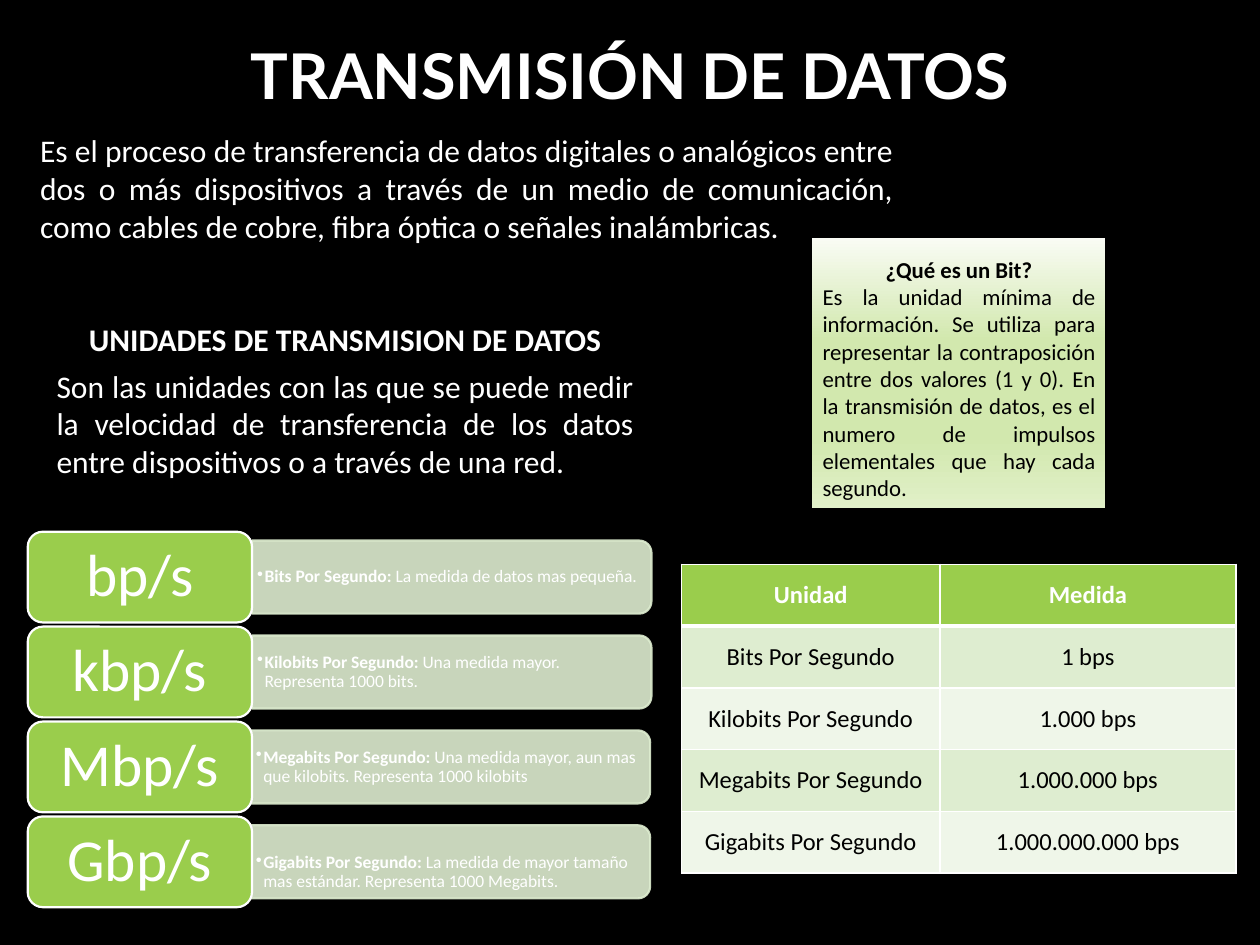
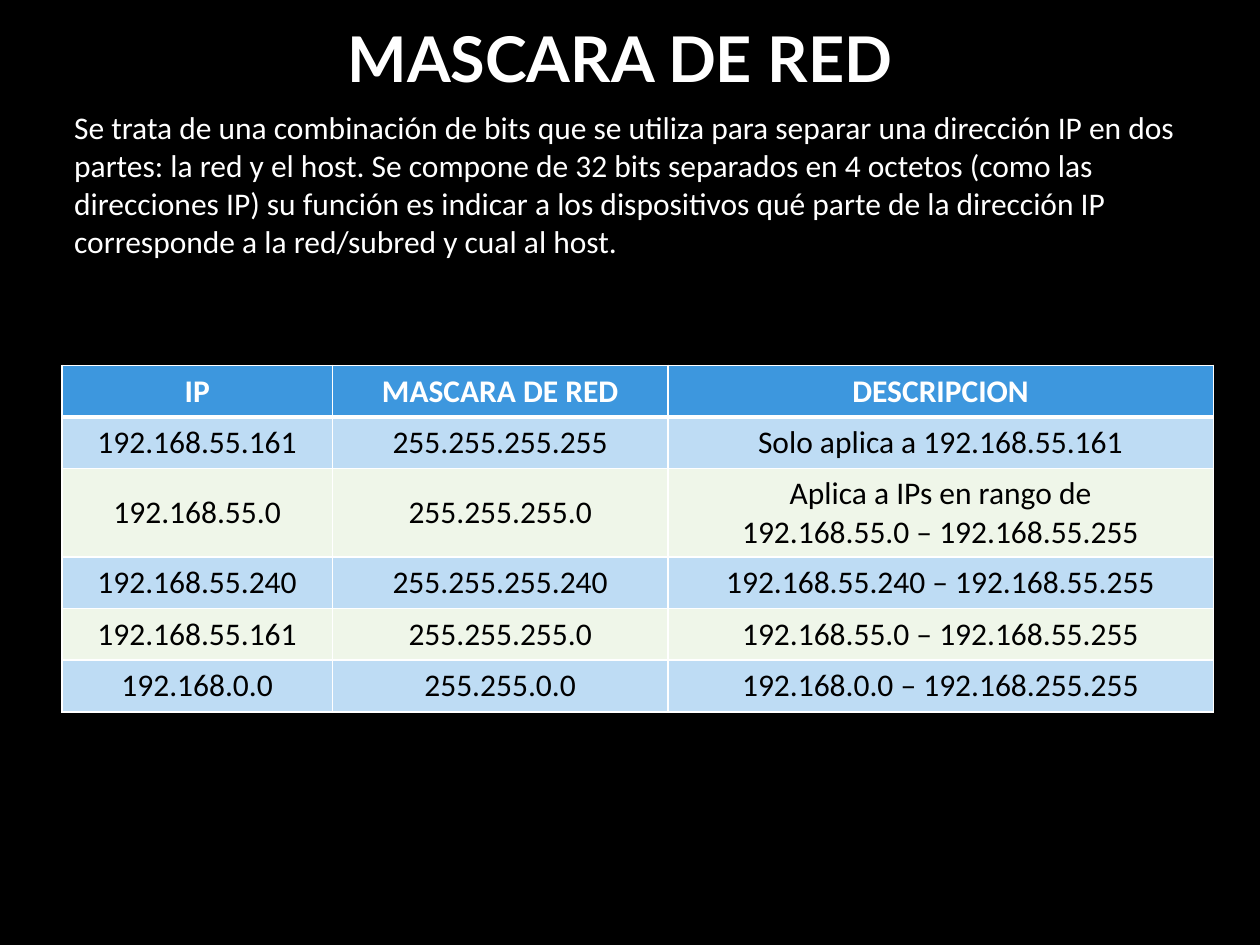
from dataclasses import dataclass
from typing import Any

import pptx
import pptx.dml.color
import pptx.enum.shapes
import pptx.enum.text
import pptx.oxml
import pptx.oxml.ns
import pptx.slide
import pptx.util
from lxml import etree

Inches, Pt = pptx.util.Inches, pptx.util.Pt
RGBColor = pptx.dml.color.RGBColor
Align = pptx.enum.text.PP_ALIGN
Anchor = pptx.enum.text.MSO_ANCHOR
AutoSize = pptx.enum.text.MSO_AUTO_SIZE
Shape = pptx.enum.shapes.MSO_SHAPE
qn = pptx.oxml.ns.qn

BLACK = RGBColor(0x00, 0x00, 0x00)
WHITE = RGBColor(0xFF, 0xFF, 0xFF)
GREEN = RGBColor(0x9A, 0xCD, 0x4C)
PALE_GREEN = RGBColor(0xDE, 0xED, 0xD0)
MIST = RGBColor(0xEF, 0xF6, 0xE9)
BLUE = RGBColor(0x3D, 0x97, 0xDE)
PALE_BLUE = RGBColor(0xBE, 0xDC, 0xF4)
BIT_GRADIENT = [
    (0, RGBColor(0xFA, 0xFC, 0xF6)),
    (38, RGBColor(0xD2, 0xE8, 0xAE)),
    (74, RGBColor(0xD2, 0xE8, 0xAE)),
    (100, RGBColor(0xE1, 0xF0, 0xC9)),
]

TITLE_FONT = {"name": "Lato", "size": Pt(36), "bold": True}
BODY_FONT = {"name": "Calibri", "size": Pt(18), "bold": False}
UNIT_FONT = {"name": "Calibri", "size": Pt(34), "bold": False}
DETAIL_FONT = {"name": "Calibri", "size": Pt(10), "bold": False}
BIT_FONT = {"name": "Calibri", "size": Pt(13), "bold": False}


@dataclass(frozen=True)
class Box:
    left: float
    top: float
    width: float
    height: float

    def lengths(self) -> list[int]:
        return [Inches(v) for v in (self.left, self.top, self.width, self.height)]


@dataclass(frozen=True)
class Unit:
    symbol: str
    name: str
    meaning: str
    bar_left: float = 2.0
    top_inset: float = 0.02


@dataclass(frozen=True)
class Grid:
    left: float
    top: float
    columns: list[float]
    row_height: float
    font_size: int
    header_color: RGBColor
    band_color: RGBColor
    rows: list[list[str]]


UNITS = [
    Unit("bp/s", "Bits Por Segundo:", "La medida de datos mas pequeña."),
    Unit("kbp/s", "Kilobits Por Segundo:", "Una medida mayor. Representa 1000 bits."),
    Unit("Mbp/s", "Megabits Por Segundo:",
         "Una medida mayor, aun mas que kilobits. Representa 1000 kilobits", 1.99),
    Unit("Gbp/s", "Gigabits Por Segundo:",
         "La medida de mayor tamaño mas estándar. Representa 1000 Megabits.", 1.99, 0.19),
]
FIRST_UNIT_TOP, LAST_UNIT_TOP = 4.22, 6.48

UNIT_GRID = Grid(5.41, 4.48, [2.05, 2.35], 0.49, 14, GREEN, PALE_GREEN, [
    ["Unidad", "Medida"],
    ["Bits Por Segundo", "1 bps"],
    ["Kilobits Por Segundo", "1.000 bps"],
    ["Megabits Por Segundo", "1.000.000 bps"],
    ["Gigabits Por Segundo", "1.000.000.000 bps"],
])
MASK_GRID = Grid(0.49, 2.9, [2.15, 2.66, 4.33], 0.41, 18, BLUE, PALE_BLUE, [
    ["IP", "MASCARA DE RED", "DESCRIPCION"],
    ["192.168.55.161", "255.255.255.255", "Solo aplica a 192.168.55.161"],
    ["192.168.55.0", "255.255.255.0",
     "Aplica a IPs en rango de\n192.168.55.0 – 192.168.55.255"],
    ["192.168.55.240", "255.255.255.240", "192.168.55.240 – 192.168.55.255"],
    ["192.168.55.161", "255.255.255.0", "192.168.55.0 – 192.168.55.255"],
    ["192.168.0.0", "255.255.0.0", "192.168.0.0 – 192.168.255.255"],
])


def apply(target: Any, values: dict[str, Any]) -> None:
    for key, value in values.items():
        setattr(target, key, value)


def style(text: Any, font: dict[str, Any], color: RGBColor = WHITE) -> None:
    """Format the font of a paragraph or a run."""
    apply(text.font, font)
    text.font.color.rgb = color


def set_insets(frame: Any, side: float, top: float, bottom: float) -> None:
    apply(frame, {"margin_left": Inches(side), "margin_right": Inches(side),
                  "margin_top": Inches(top), "margin_bottom": Inches(bottom)})


def add_titled_slide(deck: Any, title: str, box: Box) -> pptx.slide.Slide:
    slide = deck.slides.add_slide(deck.slide_layouts.get_by_name("Title Only"))
    heading = slide.shapes.title
    apply(heading, dict(zip(("left", "top", "width", "height"), box.lengths())))
    apply(heading.text_frame, {"text": title, "vertical_anchor": Anchor.MIDDLE,
                               "auto_size": AutoSize.NONE, "word_wrap": True})
    paragraph = heading.text_frame.paragraphs[0]
    apply(paragraph, {"alignment": Align.CENTER, "line_spacing": 0.9})
    style(paragraph, TITLE_FONT)
    return slide


def add_text(slide: pptx.slide.Slide, box: Box, text: str, align: Align,
             bold: bool = False) -> None:
    frame = slide.shapes.add_textbox(*box.lengths()).text_frame
    apply(frame, {"word_wrap": True, "auto_size": AutoSize.SHAPE_TO_FIT_TEXT, "text": text})
    frame.paragraphs[0].alignment = align
    style(frame.paragraphs[0], BODY_FONT | {"bold": bold})


def add_block(slide: pptx.slide.Slide, preset: Shape, box: Box, fill: RGBColor,
              line: RGBColor, line_width: float) -> Any:
    block = slide.shapes.add_shape(preset, *box.lengths())
    block.shadow.inherit = False
    block.fill.solid()
    block.fill.fore_color.rgb = fill
    block.line.color.rgb = line
    block.line.width = Pt(line_width)
    block.text_frame.word_wrap = True
    return block


def set_opacity(shape: Any, percent: int) -> None:
    for color in shape._element.spPr.iter(qn("a:srgbClr")):
        etree.SubElement(color, qn("a:alpha"), val=str(percent * 1000))


def set_gradient(shape: Any, stops: list[tuple[int, RGBColor]]) -> None:
    """Fill from top to bottom with any number of stops."""
    shape.fill.gradient()
    gradient = shape._element.spPr.find(qn("a:gradFill"))
    stop_list = gradient.find(qn("a:gsLst"))
    for old_stop in list(stop_list):
        stop_list.remove(old_stop)
    for position, color in stops:
        stop = etree.SubElement(stop_list, qn("a:gs"), pos=str(position * 1000))
        etree.SubElement(stop, qn("a:srgbClr"), val=str(color))
    gradient.find(qn("a:lin")).set("ang", "5400000")


def add_bit_note(slide: pptx.slide.Slide) -> None:
    note = add_block(slide, Shape.RECTANGLE, Box(6.43, 1.87, 2.36, 2.18), MIST, BLACK, 2.25)
    set_gradient(note, BIT_GRADIENT)
    frame = note.text_frame
    frame.vertical_anchor = Anchor.TOP
    frame.text = (
        "¿Qué es un Bit?\n"
        "Es la unidad mínima de información. Se utiliza para representar la "
        "contraposición entre dos valores (1 y 0). En la transmisión de datos, es el "
        "numero de impulsos elementales que hay cada segundo."
    )
    question, answer = frame.paragraphs
    apply(question, {"alignment": Align.CENTER, "line_spacing": 1.5})
    answer.alignment = Align.JUSTIFY
    style(question, BIT_FONT | {"bold": True}, BLACK)
    style(answer, BIT_FONT, BLACK)


def add_unit(slide: pptx.slide.Slide, unit: Unit, top: float) -> None:
    """Draw a unit's bar, its explanation and its symbol, from back to front."""
    length, thickness = 3.17, 0.58
    center_x, center_y = unit.bar_left + length / 2, top + 0.36
    bar_box = Box(center_x - thickness / 2, center_y - length / 2, thickness, length)
    bar = add_block(slide, Shape.ROUND_2_SAME_RECTANGLE, bar_box, PALE_GREEN, PALE_GREEN, 1.25)
    bar.rotation = 90
    set_opacity(bar, 90)

    detail_box = Box(unit.bar_left, top + 0.1, 3.14, 0.52)
    detail = slide.shapes.add_textbox(*detail_box.lengths()).text_frame
    apply(detail, {"word_wrap": True, "vertical_anchor": Anchor.MIDDLE})
    set_insets(detail, 0.04, unit.top_inset, 0.02)
    paragraph = detail.paragraphs[0]
    properties = paragraph._p.get_or_add_pPr()
    apply_indent = {"marL": Inches(0.06), "indent": -Inches(0.06)}
    for key, value in apply_indent.items():
        properties.set(key, str(value))
    etree.SubElement(properties, qn("a:buChar"), char="•")
    paragraph.line_spacing = 0.9
    for text, bold in ((unit.name + " ", True), (unit.meaning, False)):
        run = paragraph.add_run()
        run.text = text
        style(run, DETAIL_FONT | {"bold": bold})

    badge = add_block(slide, Shape.ROUNDED_RECTANGLE, Box(0.22, top, 1.78, 0.72),
                      GREEN, WHITE, 1.25)
    apply(badge.text_frame, {"text": unit.symbol, "vertical_anchor": Anchor.MIDDLE})
    set_insets(badge.text_frame, 0.14, 0.07, 0.07)
    symbol = badge.text_frame.paragraphs[0]
    apply(symbol, {"alignment": Align.CENTER, "line_spacing": 0.9})
    style(symbol, UNIT_FONT)


def set_borders(cell: Any, top: float, bottom: float) -> None:
    properties = cell._tc.get_or_add_tcPr()
    for side, width in (("L", 1), ("R", 1), ("T", top), ("B", bottom)):
        edge = etree.SubElement(properties, qn(f"a:ln{side}"), w=str(Pt(width)))
        fill = etree.SubElement(edge, qn("a:solidFill"))
        etree.SubElement(fill, qn("a:srgbClr"), val=str(WHITE))


def add_grid(slide: pptx.slide.Slide, grid: Grid) -> None:
    box = Box(grid.left, grid.top, sum(grid.columns), grid.row_height * len(grid.rows))
    table = slide.shapes.add_table(len(grid.rows), len(grid.columns), *box.lengths()).table
    for column, width in zip(table.columns, grid.columns):
        column.width = Inches(width)
    for row_number, texts in enumerate(grid.rows):
        is_header = row_number == 0
        band = grid.band_color if row_number % 2 else MIST
        for column_number, text in enumerate(texts):
            cell = table.cell(row_number, column_number)
            set_borders(cell, 3 if row_number == 1 else 1, 3 if is_header else 1)
            cell.fill.solid()
            cell.fill.fore_color.rgb = grid.header_color if is_header else band
            apply(cell, {"text": text, "vertical_anchor": Anchor.MIDDLE})
            for paragraph in cell.text_frame.paragraphs:
                paragraph.alignment = Align.CENTER
                style(paragraph, BODY_FONT | {"size": Pt(grid.font_size), "bold": is_header},
                      WHITE if is_header else BLACK)


def build_transmission(deck: Any) -> None:
    slide = add_titled_slide(deck, "TRANSMISIÓN DE DATOS", Box(0.94, -0.18, 8.12, 1.62))
    add_text(slide, Box(0.22, 0.99, 6.97, 1.01),
             "Es el proceso de transferencia de datos digitales o analógicos entre dos o más "
             "dispositivos a través de un medio de comunicación, como cables de cobre, fibra "
             "óptica o señales inalámbricas.", Align.JUSTIFY)
    add_text(slide, Box(0.35, 2.49, 4.78, 0.4), "UNIDADES DE TRANSMISION DE DATOS",
             Align.CENTER, bold=True)
    add_text(slide, Box(0.35, 2.86, 4.78, 1.01),
             "Son las unidades con las que se puede medir la velocidad de transferencia de "
             "los datos entre dispositivos o a través de una red.", Align.JUSTIFY)
    add_bit_note(slide)
    pitch = (LAST_UNIT_TOP - FIRST_UNIT_TOP) / (len(UNITS) - 1)
    for index, unit in enumerate(UNITS):
        add_unit(slide, unit, FIRST_UNIT_TOP + index * pitch)
    add_grid(slide, UNIT_GRID)


def build_mask(deck: Any) -> None:
    slide = add_titled_slide(deck, "MASCARA DE RED", Box(0, 0, 9.84, 0.98))
    add_text(slide, Box(0.49, 0.81, 9.01, 1.31),
             "Se trata de una combinación de bits que se utiliza para separar una dirección "
             "IP en dos partes: la red y el host. Se compone de 32 bits separados en 4 octetos "
             "(como las direcciones IP) su función es indicar a los dispositivos qué parte de "
             "la dirección IP corresponde a la red/subred y cual al host.", Align.LEFT)
    add_grid(slide, MASK_GRID)


def main() -> None:
    deck = pptx.Presentation()
    apply(deck, {"slide_width": Inches(10), "slide_height": Inches(7.5)})
    background = deck.slide_master.background.fill
    background.solid()
    background.fore_color.rgb = BLACK
    build_transmission(deck)
    build_mask(deck)
    deck.save("out.pptx")


if __name__ == "__main__":
    main()
